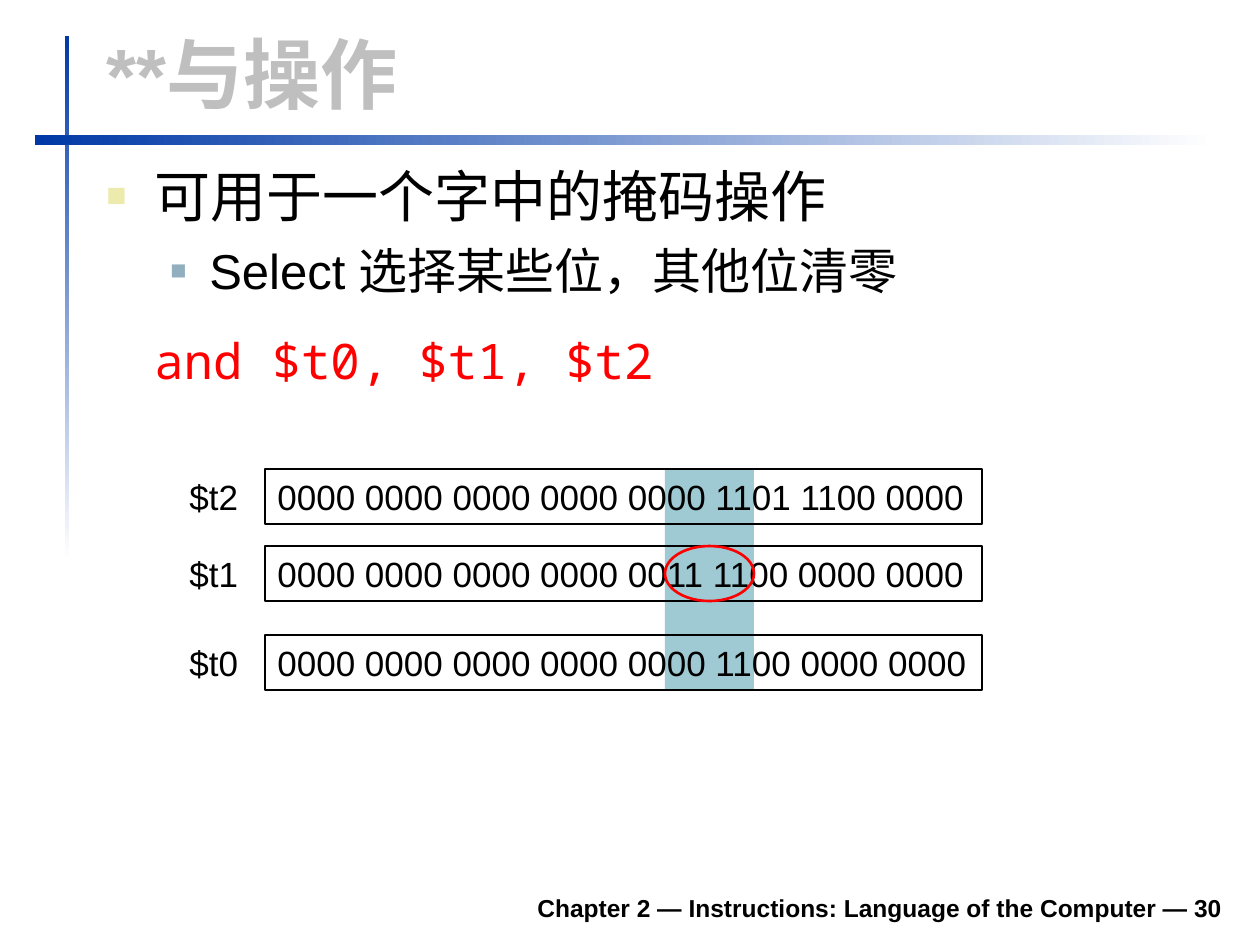
"""Build the slide on the bitwise AND operation."""
from dataclasses import dataclass
from typing import Optional

from lxml import etree
from pptx import Presentation
from pptx.dml.color import RGBColor
from pptx.enum.shapes import MSO_SHAPE
from pptx.enum.text import MSO_ANCHOR, PP_ALIGN
from pptx.oxml.ns import qn
from pptx.util import Emu, Pt

RECTANGLE, OVAL = MSO_SHAPE.RECTANGLE, MSO_SHAPE.OVAL
TOP, BOTTOM = MSO_ANCHOR.TOP, MSO_ANCHOR.BOTTOM
LEFT, RIGHT = PP_ALIGN.LEFT, PP_ALIGN.RIGHT
EMU_PER_PX = 914400 / 126
SANS, MONO = "Arial", "Noto Sans Mono"
BLACK, WHITE, RED, GREY = "000000", "FFFFFF", "FF0000", "BFBFBF"
NAVY, TEAL, CREAM, STEEL = "0039A6", "9FCAD3", "ECEAAC", "91AFBF"
ROW_HEIGHT = 55
MASK_LEFT, MASK_WIDTH = 665, 89


@dataclass(frozen=True)
class Box:
    left: int
    top: int
    width: int
    height: int


@dataclass(frozen=True)
class Style:
    size: int
    color: str = BLACK
    font: str = SANS
    bold: bool = False


@dataclass(frozen=True)
class Bullet:
    color: str
    percent: int


@dataclass(frozen=True)
class BodyLine:
    text: str
    style: Style
    margin: int
    indent: int = 0
    before: float = 0
    after: float = 0
    level: int = 0
    bullet: Optional[Bullet] = None


@dataclass(frozen=True)
class Register:
    name: str
    bits: str
    top: int


REGISTER_STYLE = Style(20)
BODY_LINES = [
    BodyLine("可用于一个字中的掩码操作", Style(32), 48, -48, bullet=Bullet(CREAM, 60)),
    BodyLine("Select 选择某些位，其他位清零", Style(28), 103, -39, before=7, level=1,
             bullet=Bullet(STEEL, 55)),
    BodyLine("and $t0, $t1, $t2", Style(28, RED, MONO), 48, before=17.5, after=10.5),
]
REGISTERS = [
    Register("$t2", "0000 0000 0000 0000 0000 1101 1100 0000", 469),
    Register("$t1", "0000 0000 0000 0000 0011 1100 0000 0000", 546),
    Register("$t0", "0000 0000 0000 0000 0000 1100 0000 0000", 635),
]


def px(length: int) -> Emu:
    """Turn pixels into EMU."""
    return Emu(round(length * EMU_PER_PX))


def rgb(color: str) -> RGBColor:
    """Turn a hex string into a colour."""
    return RGBColor.from_string(color)


def place(box: Box) -> tuple[Emu, Emu, Emu, Emu]:
    """Give the position and size of a box in EMU."""
    return px(box.left), px(box.top), px(box.width), px(box.height)


def style_paragraph(paragraph, style: Style) -> None:
    """Format every run of a paragraph."""
    for run in paragraph.runs:
        run.font.name = style.font
        run.font.size = Pt(style.size)
        run.font.bold = style.bold
        run.font.color.rgb = rgb(style.color)


def write(shape, text: str, style: Style, anchor=TOP, align=LEFT, wrap: bool = False) -> None:
    """Put one styled paragraph into a shape."""
    frame = shape.text_frame
    frame.text = text
    frame.word_wrap = wrap
    frame.vertical_anchor = anchor
    frame.paragraphs[0].alignment = align
    style_paragraph(frame.paragraphs[0], style)


def add_shape(slide, box: Box, kind=RECTANGLE, fill: Optional[str] = None,
              line: Optional[str] = None, line_width: float = 0.75):
    """Draw a preset shape with an optional fill and outline."""
    shape = slide.shapes.add_shape(kind, *place(box))
    shape.shadow.inherit = False
    if fill:
        shape.fill.solid()
        shape.fill.fore_color.rgb = rgb(fill)
    else:
        shape.fill.background()
    if line:
        shape.line.color.rgb = rgb(line)
        shape.line.width = Pt(line_width)
    else:
        shape.line.fill.background()
    return shape


def add_fading_bar(slide, box: Box, angle: int) -> None:
    """Draw a bar that fades from navy to white."""
    fill = add_shape(slide, box).fill
    fill.gradient()
    fill.gradient_angle = angle
    for stop, color, position in zip(fill.gradient_stops, (NAVY, WHITE), (0, 1)):
        stop.color.rgb = rgb(color)
        stop.position = position


def add_text(slide, box: Box, text: str, style: Style, anchor=TOP, align=LEFT,
             wrap: bool = False) -> None:
    """Add a text box with one paragraph."""
    write(slide.shapes.add_textbox(*place(box)), text, style, anchor, align, wrap)


def add_bullet(properties, bullet: Bullet) -> None:
    """Add a square bullet to paragraph properties."""
    color = etree.SubElement(properties, qn("a:buClr"))
    etree.SubElement(color, qn("a:srgbClr"), val=bullet.color)
    etree.SubElement(properties, qn("a:buSzPct"), val=str(bullet.percent * 1000))
    etree.SubElement(properties, qn("a:buFont"), typeface=SANS)
    etree.SubElement(properties, qn("a:buChar"), char="■")


def add_body(slide, box: Box, lines: list[BodyLine]) -> None:
    """Add the bulleted body text."""
    frame = slide.shapes.add_textbox(*place(box)).text_frame
    frame.word_wrap = True
    for index, line in enumerate(lines):
        paragraph = frame.add_paragraph() if index else frame.paragraphs[0]
        paragraph.text = line.text
        paragraph.level = line.level
        paragraph.space_before = Pt(line.before)
        paragraph.space_after = Pt(line.after)
        properties = paragraph._p.get_or_add_pPr()
        properties.set("marL", str(px(line.margin)))
        properties.set("indent", str(px(line.indent)))
        if line.bullet:
            add_bullet(properties, line.bullet)
        style_paragraph(paragraph, line.style)


def add_register(slide, register: Register) -> None:
    """Draw a register's bits in a frame, with its name on the left."""
    frame = add_shape(slide, Box(265, register.top, 717, ROW_HEIGHT), line=BLACK)
    write(frame, register.bits, REGISTER_STYLE)
    add_text(slide, Box(177, register.top, 84, ROW_HEIGHT), register.name, REGISTER_STYLE)


def main() -> None:
    """Build and save the slide."""
    presentation = Presentation()
    presentation.slide_width, presentation.slide_height = px(1260), px(945)
    slide = presentation.slides.add_slide(presentation.slide_layouts[6])
    add_fading_bar(slide, Box(65, 36, 4, 525), 270)
    add_fading_bar(slide, Box(35, 135, 1180, 10), 0)
    add_text(slide, Box(233, 880, 1002, 49),
             "Chapter 2 — Instructions: Language of the Computer — 30",
             Style(14, bold=True), BOTTOM, RIGHT, wrap=True)
    add_shape(slide, Box(MASK_LEFT, 470, MASK_WIDTH, 221), fill=TEAL)
    add_text(slide, Box(94, 20, 1138, 105), "**与操作", Style(44, GREY, bold=True),
             BOTTOM, wrap=True)
    add_body(slide, Box(94, 155, 1139, 286), BODY_LINES)
    for register in REGISTERS:
        add_register(slide, register)
    add_shape(slide, Box(MASK_LEFT, REGISTERS[1].top, MASK_WIDTH, ROW_HEIGHT), OVAL,
              line=RED, line_width=1.5)
    presentation.save("out.pptx")


if __name__ == "__main__":
    main()
